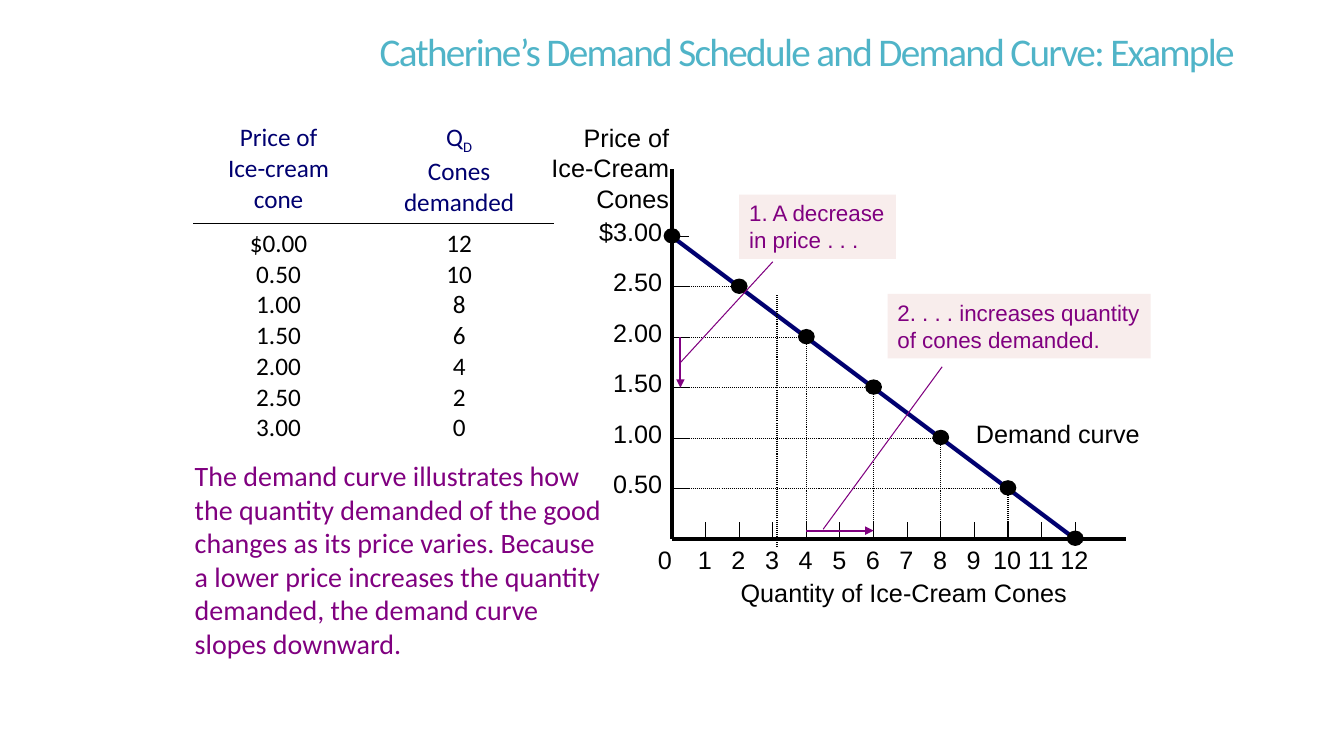
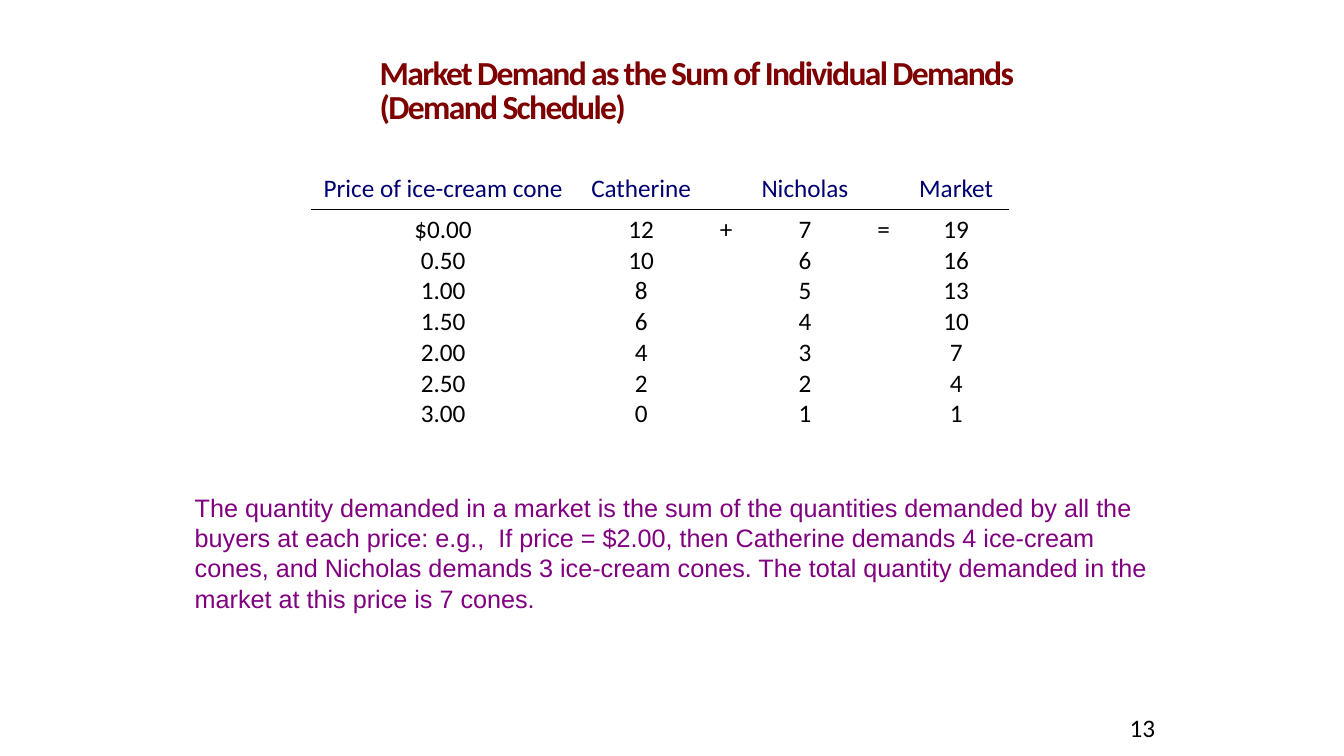
from pptx import Presentation
from pptx.dml.color import RGBColor
from pptx.enum.dml import MSO_LINE
from pptx.enum.shapes import MSO_CONNECTOR, MSO_SHAPE
from pptx.enum.text import MSO_ANCHOR, MSO_AUTO_SIZE, PP_ALIGN
from pptx.oxml import parse_xml
from pptx.oxml.ns import nsdecls, qn
from pptx.util import Pt
from lxml.etree import SubElement

BLACK = RGBColor(0x00, 0x00, 0x00)
NAVY = RGBColor(0x00, 0x00, 0x70)
PURPLE = RGBColor(0x80, 0x00, 0x80)
TEAL = RGBColor(0x50, 0xB4, 0xC8)
MAROON = RGBColor(0x7E, 0x00, 0x00)
BLUSH = RGBColor(0xF8, 0xED, 0xEC)
NO_STYLE = "{2D5ABB26-0587-4C30-8999-92F81FD0307C}"


def add_label(slide, text, left, top, width, height=29, size=18, font="Arial",
              color=BLACK, align=PP_ALIGN.LEFT, wrap=True):
    shape = slide.shapes.add_textbox(Pt(left), Pt(top), Pt(width), Pt(height))
    shape.text_frame.word_wrap = wrap
    shape.text_frame.text = text
    for paragraph in shape.text_frame.paragraphs:
        paragraph.alignment = align
        paragraph.font.name = font
        paragraph.font.size = Pt(size)
        paragraph.font.color.rgb = color
    return shape


def add_line(slide, start, end, color=BLACK, width=0.75, dash=None, arrow=False):
    connector = slide.shapes.add_connector(
        MSO_CONNECTOR.STRAIGHT, Pt(start[0]), Pt(start[1]), Pt(end[0]), Pt(end[1]))
    connector.line.color.rgb = color
    connector.line.width = Pt(width)
    if dash:
        connector.line.dash_style = dash
    if arrow:
        SubElement(connector.line._get_or_add_ln(), qn("a:tailEnd"), type="triangle")
    SubElement(connector._element.spPr, qn("a:effectLst"))


presentation = Presentation()
presentation.slide_width = Pt(960)
presentation.slide_height = Pt(540)

# Titles
titles = [
    ("Catherine’s Demand Schedule and Demand Curve: Example", 18, 42, 28, TEAL, False),
    ("Market Demand as the Sum of Individual Demands\v(Demand Schedule)",
     36, 60, 24, MAROON, True),
]
for text, top, height, size, color, bold in titles:
    slide = presentation.slides.add_slide(presentation.slide_layouts[5])
    title = slide.shapes.title
    title.left, title.top, title.width, title.height = Pt(264), Pt(top), Pt(696), Pt(height)
    title.text_frame.text = text
    title.text_frame.auto_size = MSO_AUTO_SIZE.NONE
    title.text_frame.vertical_anchor = MSO_ANCHOR.MIDDLE
    paragraph = title.text_frame.paragraphs[0]
    paragraph.alignment = PP_ALIGN.LEFT
    paragraph.line_spacing = 0.85
    paragraph.font.name = "Calibri"
    paragraph.font.size = Pt(size)
    paragraph.font.bold = bold
    paragraph.font.color.rgb = color
    for run in paragraph.runs:
        run._r.get_or_add_rPr().set("spc", "-120")
curve_slide, market_slide = presentation.slides

# Demand schedules: each column is a header, its values and a width
prices = ["$0.00", "0.50", "1.00", "1.50", "2.00", "2.50", "3.00"]
catherine = [12, 10, 8, 6, 4, 2, 0]
nicholas = [7, 6, 5, 4, 3, 2, 1]
market = [own + other for own, other in zip(catherine, nicholas)]
schedules = [
    (curve_slide, 138, 84, (74, 160), [
        ("Price of\nIce-cream cone", prices, 122),
        ("Q\nCones demanded", catherine, 136)]),
    (market_slide, 222, 120, (29.5, 185), [
        ("Price of ice-cream cone", prices, 189),
        ("Catherine", catherine, 94),
        ("", ["+"], 27.5),
        ("Nicholas", nicholas, 85),
        ("", ["="], 27.5),
        ("Market", market, 76)]),
]
for slide, left, top, heights, columns in schedules:
    table_width = sum(width for _, _, width in columns)
    table = slide.shapes.add_table(2, len(columns), Pt(left), Pt(top),
                                   Pt(table_width), Pt(sum(heights))).table
    table.first_row = table.horz_banding = False
    table._tbl.tblPr.find(qn("a:tableStyleId")).text = NO_STYLE
    for row, height in zip(table.rows, heights):
        row.height = Pt(height)
    for column_index, (header, values, width) in enumerate(columns):
        table.columns[column_index].width = Pt(width)
        body = "\n".join(str(value) for value in values)
        for row_index, (text, color, edge) in enumerate(
                [(header, NAVY, "lnB"), (body, BLACK, "lnT")]):
            cell = table.cell(row_index, column_index)
            cell.text = text
            cell.fill.background()
            cell._tc.get_or_add_tcPr().insert(0, parse_xml(
                f'<a:{edge} {nsdecls("a")} w="12700"><a:solidFill>'
                f'<a:srgbClr val="{BLACK}"/></a:solidFill></a:{edge}>'))
            for paragraph in cell.text_frame.paragraphs:
                paragraph.alignment = PP_ALIGN.CENTER
                paragraph.font.name = "Calibri"
                paragraph.font.size = Pt(18)
                paragraph.font.color.rgb = color
    if slide is curve_slide:
        subscript = table.cell(0, 1).text_frame.paragraphs[0].add_run()
        subscript.text = "D"
        subscript._r.get_or_add_rPr().set("baseline", "-25000")

# Demand curve: axes, ticks and labels
origin_x, origin_y = 480, 385
cone_step, price_step = 24, 36
add_line(curve_slide, (origin_x, origin_y), (804, origin_y), width=2.25)
add_line(curve_slide, (origin_x, 121), (origin_x, origin_y), width=2.25)
add_label(curve_slide, "0", origin_x - 23, origin_y, 36, align=PP_ALIGN.CENTER)
for quantity in range(1, 13):
    x = origin_x + quantity * cone_step
    add_line(curve_slide, (x, origin_y - 12), (x, origin_y))
    add_label(curve_slide, str(quantity), x - 18.5, origin_y, 36, align=PP_ALIGN.CENTER)
for step in range(1, 7):
    y = origin_y - step * price_step
    price = "$3.00" if step == 6 else prices[step]
    add_line(curve_slide, (origin_x, y), (origin_x + 12, y))
    add_label(curve_slide, price, origin_x - 70, y - 18, 70, align=PP_ALIGN.RIGHT)
add_label(curve_slide, "Price of\nIce-Cream\nCones", 375, 84, 110, 73,
          align=PP_ALIGN.RIGHT)
add_label(curve_slide, "Quantity of Ice-Cream Cones", 522, 409, 260)
add_label(curve_slide, "Demand curve", 690, 295, 140)

# Demand curve: line, guides and points
points = [(origin_x + quantity * cone_step, origin_y - step * price_step)
          for step, quantity in enumerate(catherine)]
add_line(curve_slide, points[-1], points[0], NAVY, 3)
for x, y in points[1:-1]:
    add_line(curve_slide, (origin_x, y), (x, y), dash=MSO_LINE.ROUND_DOT)
for x, y in points[1:-2]:
    add_line(curve_slide, (x, origin_y), (x, y), dash=MSO_LINE.ROUND_DOT)
add_line(curve_slide, (555, 391), (555, 211), dash=MSO_LINE.ROUND_DOT)
for x, y in points:
    dot = curve_slide.shapes.add_shape(MSO_SHAPE.OVAL, Pt(x - 6), Pt(y - 6), Pt(12), Pt(11))
    dot.shadow.inherit = False
    dot.fill.solid()
    dot.fill.fore_color.rgb = BLACK
    dot.line.fill.background()

# Price fall and the rise in quantity
add_line(curve_slide, (486, 241), (486, 277), PURPLE, 1.5, arrow=True)
add_line(curve_slide, (576, 379), (624, 379), PURPLE, 1.5, arrow=True)
notes = [
    ("1. A decrease\nin price . . .", 528, 139, 112, (486, 259), (552, 187)),
    ("2. . . . increases quantity\nof cones demanded.", 634, 210, 188, (588, 378), (673, 262)),
]
for text, left, top, width, start, end in notes:
    note = add_label(curve_slide, text, left, top, width, 46, size=16,
                     color=PURPLE, wrap=False)
    note.fill.solid()
    note.fill.fore_color.rgb = BLUSH
    add_line(curve_slide, start, end, PURPLE)

# Explanations and page number
add_label(curve_slide,
          "The demand curve illustrates how the quantity demanded of the good changes as its "
          "price varies. Because a lower price increases the quantity demanded, the demand "
          "curve slopes downward.",
          132, 324, 306, 153, size=20, font="Calibri", color=PURPLE)
add_label(market_slide,
          "The quantity demanded in a market is the sum of the quantities demanded by all the "
          "buyers at each price: e.g.,  If price = $2.00, then Catherine demands 4 ice-cream "
          "cones, and Nicholas demands 3 ice-cream cones. The total quantity demanded in the "
          "market at this price is 7 cones.",
          132, 348, 698, 94, color=PURPLE)
add_label(market_slide, "13", 792, 505, 48, font="Calibri", align=PP_ALIGN.CENTER)

presentation.save("out.pptx")
